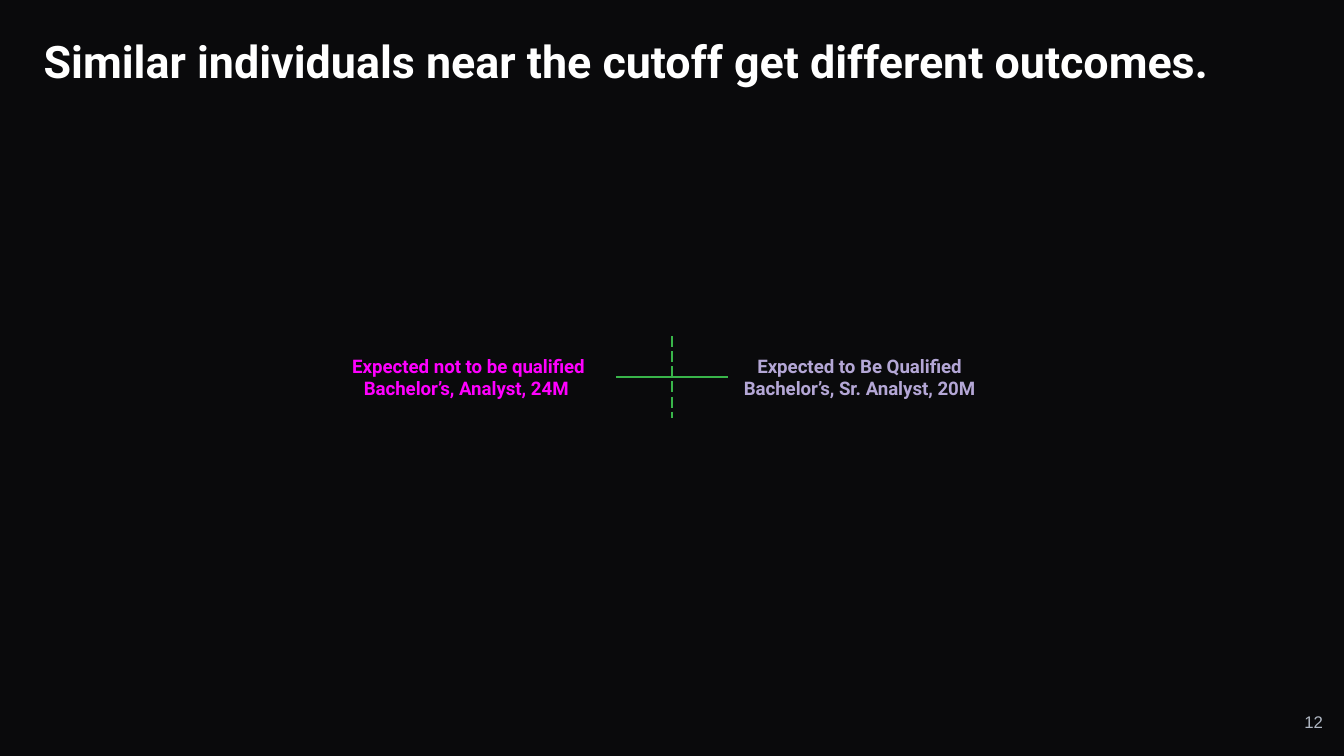
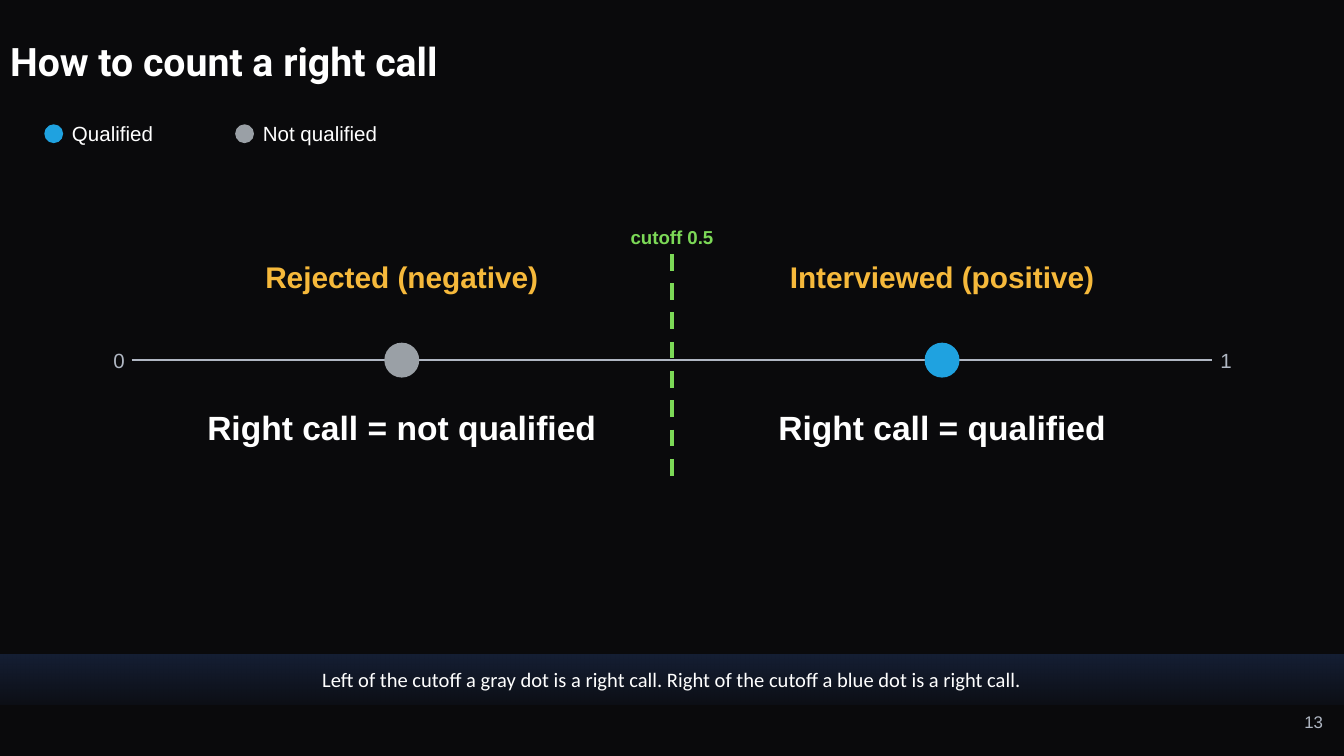
import collections
import pptx
import pptx.dml.color
import pptx.enum.dml
import pptx.enum.shapes
import pptx.enum.text
import pptx.oxml.ns
import pptx.util
from lxml import etree

RGB = pptx.dml.color.RGBColor
ALIGN = pptx.enum.text.PP_ALIGN
ANCHOR = pptx.enum.text.MSO_ANCHOR
DASH = pptx.enum.dml.MSO_LINE
SHAPE = pptx.enum.shapes.MSO_SHAPE

BLACK = RGB(0x0A, 0x0A, 0x0C)
WHITE = RGB(0xFF, 0xFF, 0xFF)
SILVER = RGB(0xB0, 0xB7, 0xC3)
GRAY = RGB(0x9A, 0xA0, 0xA6)
BLUE = RGB(0x1F, 0xA2, 0xE0)
NAVY = RGB(0x1A, 0x28, 0x46)
GOLD = RGB(0xF6, 0xB9, 0x3B)
LIME = RGB(0x7C, 0xD9, 0x57)
GREEN = RGB(0x39, 0xB5, 0x4A)
PINK = RGB(0xFF, 0x00, 0xFF)
LILAC = RGB(0xB4, 0xA7, 0xD6)

# The slide is a grid of 100 columns by 56.25 rows, each a tenth of an inch.
COLS, ROWS = 100, 56.25
Box = collections.namedtuple("Box", "x y w h")


def grid(*cells):
    return [pptx.util.Inches(cell / 10) for cell in cells]


def write(frame, text, size=11, font="Arial", color=WHITE, bold=False,
          align=ALIGN.LEFT, anchor=ANCHOR.MIDDLE, inset=(0, 0), space=None,
          wrap=True):
    """Fill a text frame; each line of text becomes a paragraph."""
    frame.text = text
    frame.word_wrap = wrap
    frame.vertical_anchor = anchor
    side, edge = grid(*inset)
    frame.margin_left = frame.margin_right = side
    frame.margin_top = frame.margin_bottom = edge
    for para in frame.paragraphs:
        para.alignment = align
        para.line_spacing = space
        for run in para.runs:
            run.font.size = pptx.util.Pt(size)
            run.font.name = font
            run.font.color.rgb = color
            run.font.bold = bold


def label(slide, box, text, **style):
    write(slide.shapes.add_textbox(*grid(*box)).text_frame, text, **style)


def line(slide, start, end, color, width, dash=None):
    link = slide.shapes.add_connector(
        pptx.enum.shapes.MSO_CONNECTOR.STRAIGHT, *grid(*start, *end))
    link.line.color.rgb = color
    link.line.width = pptx.util.Pt(width)
    if dash:
        link.line.dash_style = dash
    etree.SubElement(link._element.spPr, pptx.oxml.ns.qn("a:effectLst"))


def dot(slide, x, y, size, color):
    """Draw a disc centred on x, y."""
    disc = slide.shapes.add_shape(
        SHAPE.OVAL, *grid(x - size / 2, y - size / 2, size, size))
    disc.shadow.inherit = False
    disc.fill.solid()
    disc.fill.fore_color.rgb = color
    disc.line.fill.background()


def start(deck, title, box, size, page):
    """Add a slide with its title and page number."""
    slide = deck.slides.add_slide(deck.slide_layouts[5])
    head = slide.shapes.title
    head.left, head.top, head.width, head.height = grid(*box)
    write(head.text_frame, title, size=size, font="Roboto", bold=True,
          inset=(0.75, 0.4), space=0.9)
    label(slide, Box(93, 52.95, 5.45, 2.4), str(page), size=9, color=SILVER,
          align=ALIGN.RIGHT, anchor=ANCHOR.TOP, wrap=False)
    return slide


def cross(slide, box):
    """Draw the cutoff cross in a box, with a person on each side."""
    mid, axis = box.x + box.w / 2, box.y + box.h / 2
    line(slide, (mid, box.y), (mid, box.y + box.h), GREEN, 0.75,
         DASH.LONG_DASH)
    line(slide, (box.x + box.w, axis), (box.x, axis), GREEN, 0.75)
    people = (
        (-15.15, 20.9, PINK,
         "Expected not to be qualified\nBachelor’s, Analyst, 24M "),
        (13.95, 18.3, LILAC,
         "Expected to Be Qualified\nBachelor’s, Sr. Analyst, 20M"),
    )
    for shift, width, color, text in people:
        label(slide, Box(mid + shift - width / 2, axis - 1.2, width, 2.4),
              text, size=10, font="Roboto", color=color, bold=True,
              align=ALIGN.CENTER)


def legend(slide, box):
    step = box.w / 2
    keys = ((BLUE, "Qualified"), (GRAY, "Not qualified"))
    for i, (color, text) in enumerate(keys):
        left = box.x + i * step
        dot(slide, left + 0.7, box.y + box.h / 2, 1.4, color)
        label(slide, Box(left + 2.05, box.y, 10.9, box.h), text)


def scale(slide, box):
    """Draw the score axis from 0 to 1, with a call on each side."""
    mid, half, end = box.x + box.w / 2, box.w / 2, box.x + box.w
    axis = box.y + 10.3
    line(slide, (box.x, axis), (end, axis), SILVER, 1.25)
    ends = ((box.x - 2.1, "0", ALIGN.RIGHT), (end + 0.6, "1", ALIGN.LEFT))
    for left, text, align in ends:
        label(slide, Box(left, axis - 1, 1.6, 2), text, color=SILVER,
              align=align)
    line(slide, (mid, box.y + 2.4), (mid, box.y + box.h), LIME, 2.25,
         DASH.DASH)
    label(slide, Box(mid - 3.85, box.y, 7.7, 2.25), "cutoff 0.5", size=10,
          color=LIME, bold=True, align=ALIGN.CENTER)
    calls = (
        (GRAY, "Rejected (negative)", "Right call = not qualified"),
        (BLUE, "Interviewed (positive)", "Right call = qualified"),
    )
    for i, (color, call, right) in enumerate(calls):
        left = box.x + i * half
        dot(slide, left + half / 2, axis, 2.6, color)
        label(slide, Box(left, box.y + 2.65, half, 2.8), call, size=16,
              color=GOLD, bold=True, align=ALIGN.CENTER)
        label(slide, Box(left, box.y + 13.6, half, 3.3), right, size=18,
              bold=True, align=ALIGN.CENTER)


def band(slide, box, text):
    """Draw a fading strip with a line of text."""
    strip = slide.shapes.add_shape(SHAPE.RECTANGLE, *grid(*box))
    strip.shadow.inherit = False
    strip.line.fill.background()
    strip.fill.gradient()
    strip.fill.gradient_angle = 270
    for stop in strip.fill.gradient_stops:
        stop.color.rgb = NAVY
    tints = strip._element.spPr.iter(pptx.oxml.ns.qn("a:srgbClr"))
    for tint, share in zip(tints, (70, 15)):
        alpha = etree.SubElement(tint, pptx.oxml.ns.qn("a:alpha"))
        alpha.set("val", str(share * 1000))
    write(strip.text_frame, text, font="Calibri", align=ALIGN.CENTER,
          inset=(1, 1))


def main():
    deck = pptx.Presentation()
    deck.slide_width, deck.slide_height = grid(COLS, ROWS)
    back = deck.slide_master.background.fill
    back.solid()
    back.fore_color.rgb = BLACK

    slide = start(
        deck, "Similar individuals near the cutoff get different outcomes.",
        Box(2.5, 1.5, 95.8, 6.5), 24, 12)
    cross(slide, Box(45.85, 25, 8.3, 6.1))

    slide = start(deck, "How to count a right call",
                  Box(0, 1.5, 98.8, 6.5), 21, 13)
    band(slide, Box(0, 48.7, COLS, 3.7),
         "Left of the cutoff a gray dot is a right call. "
         "Right of the cutoff a blue dot is a right call.")
    legend(slide, Box(3.3, 8.95, 28.4, 2))
    scale(slide, Box(9.8, 16.5, 80.4, 19.6))

    deck.save("out.pptx")


if __name__ == "__main__":
    main()
